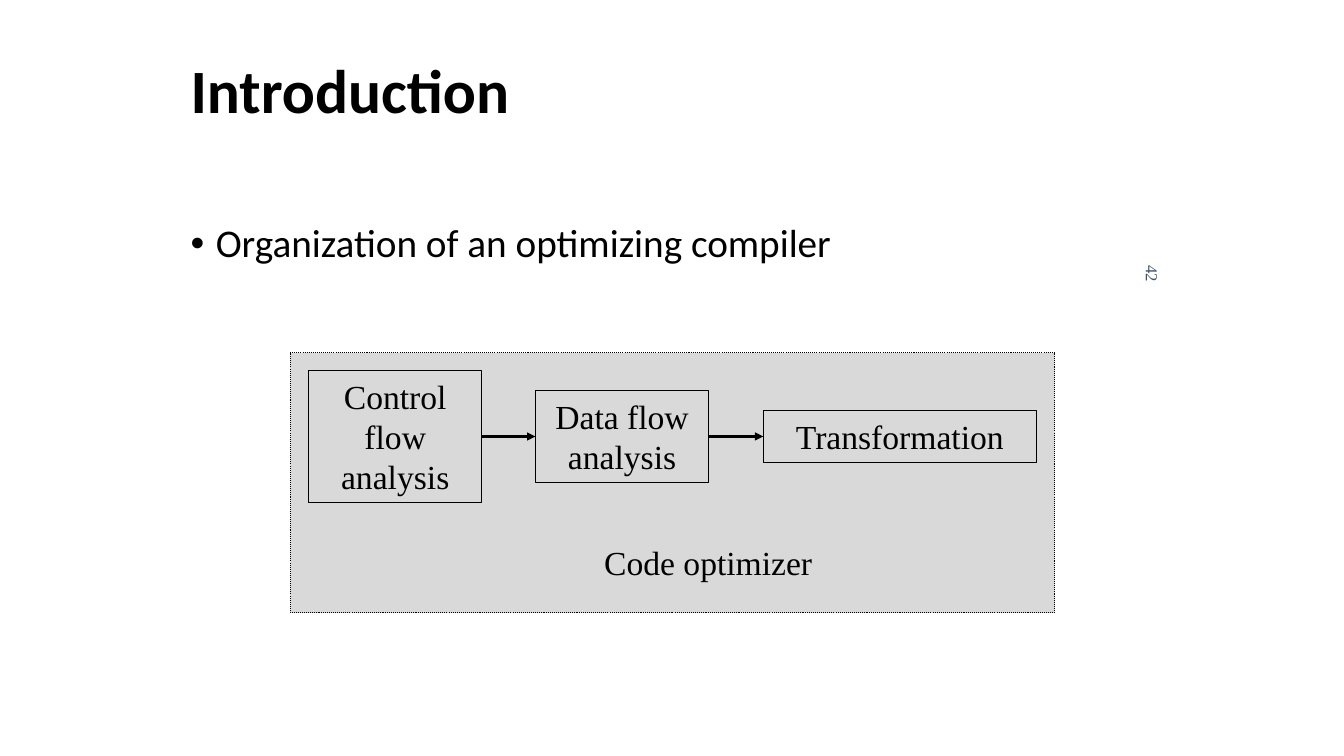
from lxml import etree
from pptx import Presentation
from pptx.dml.color import RGBColor
from pptx.enum.dml import MSO_LINE as Dash
from pptx.enum.shapes import MSO_CONNECTOR as Link, MSO_SHAPE as Shape
from pptx.enum.text import MSO_ANCHOR as Anchor, PP_ALIGN as Align
from pptx.oxml.ns import qn
from pptx.util import Inches, Pt


def color(code):
    return RGBColor.from_string(code)


def put(frame, text, size=24, font="Times New Roman", ink="000000",
        bold=False, align=Align.LEFT, anchor=Anchor.TOP, space=1.0, bullet=None):
    """Write one formatted paragraph into a text frame."""
    frame.word_wrap = True
    frame.vertical_anchor = anchor
    par = frame.paragraphs[0]
    par.text = text
    par.alignment = align
    par.line_spacing = space
    par.space_before = Pt(0)
    if bullet:
        props = par._p.get_or_add_pPr()
        props.set("marL", str(Inches(0.25)))
        props.set("indent", str(Inches(-0.25)))
        etree.SubElement(props, qn("a:buFont")).set("typeface", "Arial")
        etree.SubElement(props, qn("a:buChar")).set("char", bullet)
    run = par.runs[0].font
    run.size, run.name, run.bold = Pt(size), font, bold
    run.color.rgb = color(ink)


class Deck:
    """Hold the line style, the slide and the diagram group."""

    line = "000000"

    def __init__(self):
        self.show = Presentation()
        self.show.slide_width = Inches(13.33)
        self.show.slide_height = Inches(7.5)
        self.slide = self.show.slides.add_slide(self.show.slide_layouts[1])
        self.group = self.slide.shapes.add_group_shape().shapes

    def holder(self, index, area, text, **style):
        """Place and fill a template placeholder."""
        item = self.slide.placeholders[index]
        item.left, item.top, item.width, item.height = map(Inches, area)
        put(item.text_frame, text, font="Calibri", space=0.9, **style)

    def label(self, shapes, area, text, turn=0, **style):
        item = shapes.add_textbox(*map(Inches, area))
        item.rotation = turn
        put(item.text_frame, text, **style)

    def rect(self, area, fill=None, alpha=100, dash=None):
        item = self.group.add_shape(Shape.RECTANGLE, *map(Inches, area))
        item.shadow.inherit = False
        item.line.color.rgb = color(self.line)
        item.line.width = Pt(0.75)
        if dash:
            item.line.dash_style = dash
        if fill:
            item.fill.solid()
            item.fill.fore_color.rgb = color(fill)
            tint = item.fill._xPr.find(".//" + qn("a:srgbClr"))
            etree.SubElement(tint, qn("a:alpha")).set("val", str(alpha * 1000))
        else:
            item.fill.background()
        return item

    def box(self, left, mid, width, height, text):
        """Draw a labelled box centred on the height mid."""
        item = self.rect((left, mid - height / 2, width, height))
        put(item.text_frame, text, align=Align.CENTER)
        return item

    def arrow(self, start, end):
        """Join the right side of one box to the left side of the next."""
        item = self.group.add_connector(Link.STRAIGHT, 0, 0, 0, 0)
        item.begin_connect(start, 3)
        item.end_connect(end, 1)
        item.line.color.rgb = color(self.line)
        item.line.width = Pt(1.5)
        tip = etree.SubElement(item.line._get_or_add_ln(), qn("a:tailEnd"))
        tip.set("type", "triangle")
        etree.SubElement(item._element.spPr, qn("a:effectLst"))


def main():
    deck = Deck()
    deck.holder(0, (1.79, 0.3, 9.21, 1.25), "Introduction",
                size=44, bold=True, anchor=Anchor.MIDDLE)
    deck.holder(1, (1.79, 2.17, 9.75, 0.63),
                "Organization of an optimizing compiler", size=28, bullet="•")
    deck.label(deck.slide.shapes, (9.68, 4.07, 3.5, 0.43), "42", turn=90,
               size=12, ink="44546A", anchor=Anchor.MIDDLE)

    deck.rect((2.88, 3.5, 7.58, 2.58), "C0C0C0", 60, Dash.ROUND_DOT)
    steps = [
        (3.06, 1.72, 1.31, "Control flow analysis"),
        (5.31, 1.72, 0.91, "Data flow analysis"),
        (7.57, 2.71, 0.51, "Transformation"),
    ]
    boxes = [deck.box(left, 4.33, wide, high, text)
             for left, wide, high, text in steps]
    for start, end in zip(boxes, boxes[1:]):
        deck.arrow(start, end)
    deck.label(deck.group, (5.76, 5.33, 2.53, 0.5), "Code optimizer",
               align=Align.CENTER)
    deck.show.save("out.pptx")


if __name__ == "__main__":
    main()
